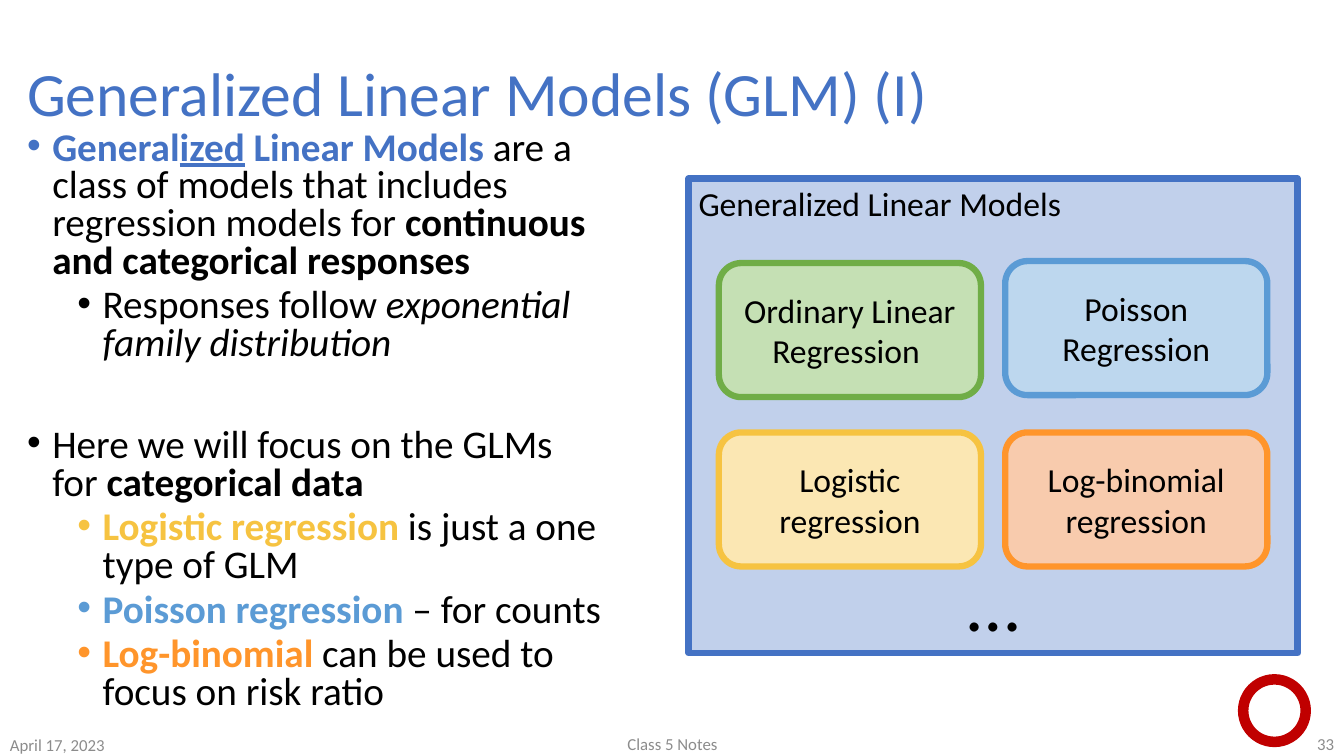
from lxml import etree
from pptx import Presentation
from pptx.dml.color import RGBColor
from pptx.enum.shapes import MSO_SHAPE
from pptx.enum.text import MSO_ANCHOR, PP_ALIGN
from pptx.oxml.ns import qn
from pptx.util import Emu, Pt

LEFT, CENTER, RIGHT = PP_ALIGN.LEFT, PP_ALIGN.CENTER, PP_ALIGN.RIGHT
TOP, MIDDLE = MSO_ANCHOR.TOP, MSO_ANCHOR.MIDDLE
RECTANGLE, ROUNDED, OVAL = MSO_SHAPE.RECTANGLE, MSO_SHAPE.ROUNDED_RECTANGLE, MSO_SHAPE.OVAL

PX = 9144
FONT = "Calibri"
BLUE, SKY, GOLD, ORANGE = "4472C4", "5B9BD5", "F6C341", "FF952B"
BLACK, GREY, RED, GREEN = "000000", "8C8C8C", "C00000", "70AD47"

TITLE = ("Generalized Linear Models (GLM) (I)", (17, 50, 1300, 92))
FOOTERS = [
    ("April 17, 2023", (0, 727, 300, 23), LEFT),
    ("Class 5 Notes", (442, 725, 450, 25), CENTER),
    ("33", (1033, 725, 300, 25), RIGHT),
]

BODY_BOX = (17, 125, 592, 592)
BOLD = {"bold": True}
INDENTS = {0: 25, 1: 75}
HANGING = 25
BODY = [
    (0, 0, [
        ("General", {"bold": True, "color": BLUE}),
        ("ized", {"bold": True, "color": BLUE, "underline": True}),
        (" Linear Models ", {"bold": True, "color": BLUE}),
        ("are a class of models that includes regression models for ", {}),
        ("continuous and categorical responses", BOLD),
    ]),
    (1, 5, [
        ("Responses follow ", {}),
        ("exponential family distribution", {"italic": True}),
    ]),
    (0, 46, [
        ("Here we will focus on the GLMs for ", {}),
        ("categorical data", BOLD),
    ]),
    (1, 5, [
        ("Logistic regression ", {"bold": True, "color": GOLD}),
        ("is just a one type of GLM", {}),
    ]),
    (1, 5, [
        ("Poisson regression ", {"bold": True, "color": SKY}),
        ("– for counts", {}),
    ]),
    (1, 5, [
        ("Log-binomial ", {"bold": True, "color": ORANGE}),
        ("can be used to focus on risk ratio", {}),
    ]),
]

FAMILY = ("Generalized Linear Models", (683, 177, 604, 471))
FAMILY_OPACITY = 33
MODEL_SIZE = (260, 133)
MODEL_COLUMNS = (713, 997)
MODELS = [
    ("Ordinary Linear Regression ", 0, 261, "C5E0B4", GREEN),
    ("Poisson Regression", 1, 259, "BDD7EE", SKY),
    ("Logistic regression", 0, 429, "FBE7B3", GOLD),
    ("Log-binomial regression", 1, 429, "F8CBAD", ORANGE),
]
MORE_BOX = (949, 547, 78, 101)
RING_BOX = (1233, 674, 62, 62)


def rgb(color):
    return RGBColor.from_string(color)


def place(box):
    return [Emu(length * PX) for length in box]


def add_span(para, text, size, color=BLACK, **formats):
    span = para.add_run()
    span.text = text
    for name, value in {"name": FONT, "size": Pt(size), **formats}.items():
        setattr(span.font, name, value)
    span.font.color.rgb = rgb(color)


def set_text(shape, text, size, color=BLACK, align=LEFT, anchor=MIDDLE):
    frame = shape.text_frame
    frame.word_wrap = True
    frame.vertical_anchor = anchor
    para = frame.paragraphs[0]
    para.alignment = align
    add_span(para, text, size, color)
    return para


def add_text(page, box, *content):
    return set_text(page.shapes.add_textbox(*place(box)), *content)


def add_outline(page, kind, box, line, width, fill=None):
    shape = page.shapes.add_shape(kind, *place(box))
    shape.shadow.inherit = False
    if fill:
        shape.fill.solid()
        shape.fill.fore_color.rgb = rgb(fill)
    else:
        shape.fill.background()
    shape.line.color.rgb = rgb(line)
    shape.line.width = Pt(width)
    return shape


def add_bullet(para, level):
    properties = para._p.get_or_add_pPr()
    properties.set("marL", str(INDENTS[level] * PX))
    properties.set("indent", str(-HANGING * PX))
    font = etree.SubElement(properties, qn("a:buFont"))
    font.set("typeface", "Arial")
    bullet = etree.SubElement(properties, qn("a:buChar"))
    bullet.set("char", "•")


def add_body(page):
    frame = page.shapes.add_textbox(*place(BODY_BOX)).text_frame
    frame.word_wrap = True
    for number, (level, gap, spans) in enumerate(BODY):
        para = frame.add_paragraph() if number else frame.paragraphs[0]
        add_bullet(para, level)
        para.level = level
        para.line_spacing = 0.8
        para.space_before = Pt(gap)
        for text, formats in spans:
            add_span(para, text, 28, **formats)


def add_diagram(page):
    title, box = FAMILY
    family = add_outline(page, RECTANGLE, box, BLUE, 4.5, BLUE)
    color = family.fill._xPr.find(qn("a:solidFill"))[0]
    etree.SubElement(color, qn("a:alpha")).set("val", str(FAMILY_OPACITY * 1000))
    set_text(family, title, 24, BLACK, LEFT, TOP)
    for name, column, top, fill, line in MODELS:
        box = (MODEL_COLUMNS[column], top, *MODEL_SIZE)
        model = add_outline(page, ROUNDED, box, line, 4.5, fill)
        set_text(model, name, 24, BLACK, CENTER)
    more = page.shapes.add_textbox(*place(MORE_BOX))
    para = set_text(more, "…", 54, BLACK, CENTER, TOP)
    add_span(para, " ", 18)
    more.text_frame.word_wrap = False


def main():
    deck = Presentation()
    deck.slide_width, deck.slide_height = place((1333, 750))
    page = deck.slides.add_slide(deck.slide_layouts[6])
    title, box = TITLE
    add_text(page, box, title, 44, BLUE).line_spacing = 0.9
    for text, box, align in FOOTERS:
        add_text(page, box, text, 12, GREY, align)
    add_body(page)
    add_outline(page, OVAL, RING_BOX, RED, 7.5)
    add_diagram(page)
    deck.save("out.pptx")


if __name__ == "__main__":
    main()
